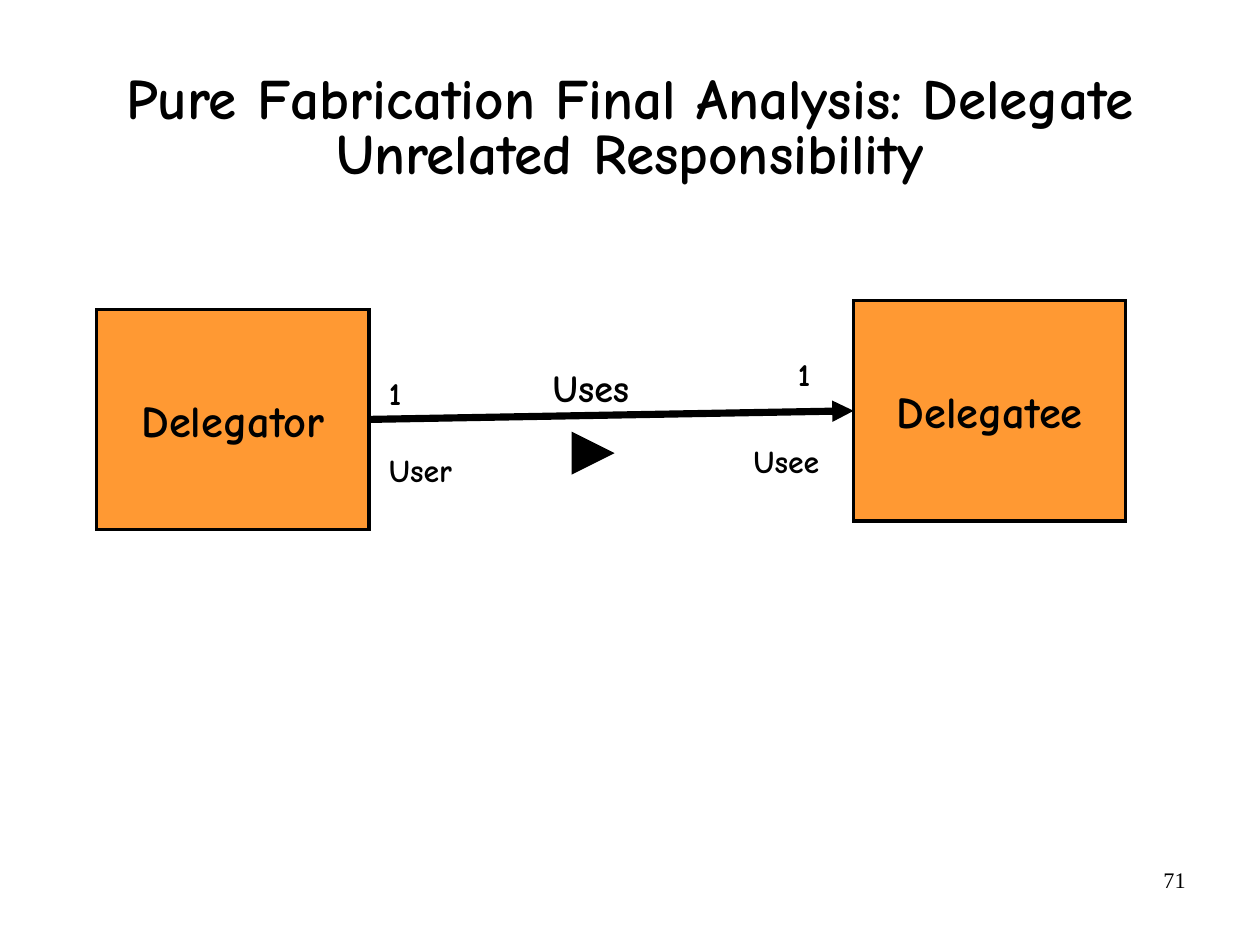
from lxml.etree import SubElement
from pptx import Presentation
from pptx.dml.color import RGBColor
from pptx.enum.shapes import MSO_CONNECTOR as Link, MSO_SHAPE as Shape
from pptx.enum.text import MSO_ANCHOR as Anchor, MSO_AUTO_SIZE as Fit, PP_ALIGN as Align
from pptx.oxml.ns import qn
from pptx.util import Cm, Pt

BLACK = RGBColor(0, 0, 0)
WHITE = RGBColor(255, 255, 255)
ORANGE = RGBColor(0xFF, 0x99, 0x33)
FONT = "Comic Neue"

TITLE = "Pure Fabrication Final Analysis: Delegate Unrelated Responsibility"
PAGE = "71"
BOX = (6.05, 4.9)
BOXES = [("Delegator", 2.15, 6.87), ("Delegatee", 18.97, 6.68)]
LABELS = [
    ("Uses", 12, 7.95, 2.26, 1.3, 24, None),
    ("User", 8.36, 9.86, 1.96, 1.12, 20, WHITE),
    ("Usee", 16.46, 9.66, 2.03, 1.12, 20, WHITE),
    ("1", 8.36, 8.16, 0.84, 1.12, 20, None),
    ("1", 17.45, 7.73, 0.84, 1.12, 20, WHITE),
]
MARK = (12.74, 9.65, 0.84, 0.84)

deck = Presentation()
deck.slide_width, deck.slide_height = Cm(28), Cm(21)
slide = deck.slides.add_slide(deck.slide_layouts[6])
shapes = slide.shapes


def write(shape, text, size, font=FONT, bold=True, align=Align.LEFT,
          anchor=Anchor.TOP, wrap=True, pad=(0.28, 0.15, 0.28), space=1.0):
    frame = shape.text_frame
    frame.word_wrap = wrap
    frame.auto_size = Fit.NONE if wrap else Fit.SHAPE_TO_FIT_TEXT
    frame.vertical_anchor = anchor
    frame.margin_left, frame.margin_top, frame.margin_right = map(Cm, pad)
    frame.margin_bottom = frame.margin_top
    line = frame.paragraphs[0]
    line.alignment = align
    line.line_spacing = space
    run = line.add_run()
    run.text = text
    run.font.name, run.font.size = font, Pt(size)
    run.font.bold = bold
    run.font.color.rgb = BLACK


def label(x, y, w, h, text, size, **style):
    box = shapes.add_textbox(Cm(x), Cm(y), Cm(w), Cm(h))
    write(box, text, size, **style)
    return box


def block(kind, x, y, w, h, fill):
    shape = shapes.add_shape(kind, Cm(x), Cm(y), Cm(w), Cm(h))
    shape.shadow.inherit = False
    shape.fill.solid()
    shape.fill.fore_color.rgb = fill
    shape.line.color.rgb = BLACK
    shape.line.width = Pt(2)
    SubElement(shape._element.spPr.get_or_add_ln(), qn("a:miter"), lim="800000")
    return shape


def arrow(start, end):
    line = shapes.add_connector(Link.STRAIGHT, *map(Cm, start + end))
    line.line.color.rgb = BLACK
    line.line.width = Pt(4.5)
    SubElement(line._element.spPr.get_or_add_ln(), qn("a:tailEnd"), type="triangle")
    SubElement(line._element.spPr, qn("a:effectLst"))


label(20.07, 19.13, 6.53, 1.45, PAGE, 14, font="Times New Roman", bold=False,
      align=Align.RIGHT, pad=(0.25, 0.13, 0.25))

wide, high = BOX
for name, x, y in BOXES:
    write(block(Shape.RECTANGLE, x, y, wide, high, ORANGE), name, 28,
          align=Align.CENTER, anchor=Anchor.MIDDLE)

(_, x1, y1), (_, x2, y2) = BOXES
arrow((x1 + wide, y1 + high / 2), (x2, y2 + high / 2))

for text, x, y, w, h, size, fill in LABELS:
    box = label(x, y, w, h, text, size, wrap=False, pad=(0.28, 0.15, 0.1))
    if fill is not None:
        box.fill.solid()
        box.fill.fore_color.rgb = fill

block(Shape.ISOSCELES_TRIANGLE, *MARK, BLACK).rotation = 90
label(0.78, 1.55, 26.44, 2.69, TITLE, 36, align=Align.CENTER,
      pad=(0.25, 0.13, 0.25), space=0.8)

deck.save("out.pptx")
